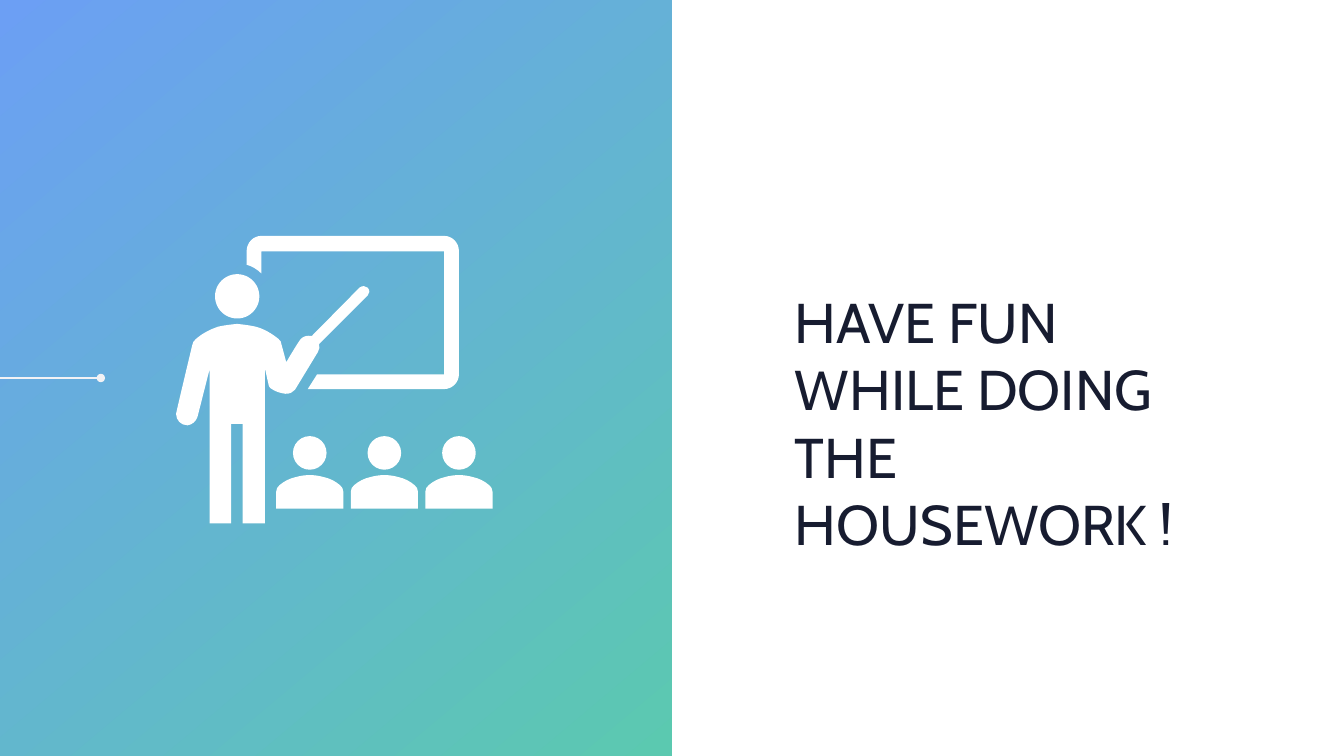
from lxml import etree
from pptx import Presentation
from pptx.dml.color import RGBColor
from pptx.enum.shapes import MSO_CONNECTOR, MSO_SHAPE
from pptx.enum.text import MSO_ANCHOR, MSO_AUTO_SIZE, PP_ALIGN
from pptx.oxml.ns import qn
from pptx.util import Inches, Pt

RECTANGLE = MSO_SHAPE.RECTANGLE
OVAL = MSO_SHAPE.OVAL
STRAIGHT = MSO_CONNECTOR.STRAIGHT
TOP = MSO_ANCHOR.TOP
LEFT = PP_ALIGN.LEFT
GROW = MSO_AUTO_SIZE.SHAPE_TO_FIT_TEXT

COLUMNS, ROWS = 20, 11.25
TITLE_ONLY = 5

LISTENER_BODY = [
    (0.5, 0.5), (0.5, 0.25), (0.5, 0.21, 0.48, 0.17, 0.45, 0.15),
    (0.38, 0.09, 0.3, 0.05, 0.21, 0.03), (0.14, 0.01, 0.07, 0, 0, 0),
    (-0.07, 0, -0.14, 0.01, -0.21, 0.03), (-0.3, 0.05, -0.38, 0.09, -0.45, 0.15),
    (-0.48, 0.17, -0.5, 0.21, -0.5, 0.25), (-0.5, 0.5),
]
TEACHER_BODY = [
    (5.47, 4.28), (5.44, 4.25, 5.39, 4.25, 5.35, 4.28), (4.64, 5),
    (4.58, 4.99, 4.52, 5, 4.48, 5.04), (4.46, 5.05, 4.26, 5.39, 4.26, 5.39),
    (4.19, 5.13), (4.19, 5.09, 4.17, 5.06, 4.14, 5.04),
    (4.04, 4.96, 3.92, 4.89, 3.8, 4.86), (3.71, 4.84, 3.62, 4.83, 3.53, 4.82),
    (3.43, 4.83, 3.34, 4.84, 3.25, 4.86), (3.13, 4.9, 3.01, 4.96, 2.91, 5.05),
    (2.88, 5.07, 2.87, 5.1, 2.86, 5.14), (2.86, 5.14, 2.62, 6.14, 2.62, 6.16),
    (2.62, 6.25, 2.69, 6.33, 2.79, 6.33), (2.86, 6.32, 2.92, 6.27, 2.94, 6.2),
    (3.12, 5.49), (3.12, 7.79), (3.44, 7.79), (3.44, 6.31), (3.61, 6.31),
    (3.61, 7.79), (3.94, 7.79), (3.94, 5.47), (4, 5.74),
    (4, 5.75, 4.02, 5.77, 4.03, 5.78), (4.1, 5.83, 4.17, 5.85, 4.25, 5.86),
    (4.31, 5.86, 4.36, 5.84, 4.39, 5.8), (4.73, 5.24),
    (4.75, 5.21, 4.76, 5.16, 4.75, 5.12), (5.47, 4.4),
    (5.5, 4.37, 5.51, 4.32, 5.47, 4.28),
]
BOARD_FRAME = [
    (6.61, 3.51), (3.89, 3.51), (3.77, 3.51, 3.67, 3.61, 3.67, 3.74),
    (3.67, 3.94), (3.75, 3.96, 3.83, 4.01, 3.89, 4.07), (3.89, 3.74),
    (6.61, 3.74), (6.61, 5.57), (4.72, 5.57), (4.58, 5.79), (6.61, 5.79),
    (6.73, 5.79, 6.83, 5.69, 6.83, 5.57), (6.83, 3.74),
    (6.83, 3.61, 6.73, 3.51, 6.61, 3.51),
]


def color(value):
    return RGBColor.from_string(value)


def grid(*cells):
    return [Inches(cell) for cell in cells]


class SlideBuilder:
    font_name = "Cabin"
    text_color = "171C30"
    icon_color = "FFFFFF"
    line_color = "F2F2F5"
    gradient = ("6C9FF4", "5BC9B0")

    def __init__(self, slide):
        self.slide = slide
        self.icon = None

    def title(self, text, left, top, width, height, size):
        shape = self.slide.shapes.title
        shape.left, shape.top, shape.width, shape.height = grid(left, top, width, height)
        frame = shape.text_frame
        frame.text = text
        frame.word_wrap = True
        frame.auto_size = GROW
        frame.vertical_anchor = TOP
        paragraph = frame.paragraphs[0]
        paragraph.alignment = LEFT
        font = paragraph.runs[0].font
        font.name, font.size = self.font_name, Pt(size)
        font.color.rgb = color(self.text_color)

    def gradient_panel(self, left, top, width, height, angle):
        shape = self.slide.shapes.add_shape(RECTANGLE, *grid(left, top, width, height))
        shape.shadow.inherit = False
        shape.line.fill.background()
        shape.fill.gradient()
        shape.fill.gradient_angle = 360 - angle
        for stop, value, position in zip(shape.fill.gradient_stops, self.gradient, (0, 1)):
            stop.color.rgb = color(value)
            stop.position = position

    def dotted_line(self, x1, y1, x2, y2, width):
        connector = self.slide.shapes.add_connector(STRAIGHT, *grid(x1, y1, x2, y2))
        connector.line.color.rgb = color(self.line_color)
        connector.line.width = Pt(width)
        etree.SubElement(connector.line._get_or_add_ln(), qn("a:tailEnd"), type="oval")
        etree.SubElement(connector._element.spPr, qn("a:effectLst"))

    def start_icon(self):
        self.icon = self.slide.shapes.add_group_shape()

    def paint_icon_part(self, shape):
        shape.shadow.inherit = False
        shape.fill.solid()
        shape.fill.fore_color.rgb = color(self.icon_color)
        shape.line.fill.background()

    def head(self, center_x, center_y, diameter):
        radius = diameter / 2
        self.paint_icon_part(self.icon.shapes.add_shape(
            OVAL, *grid(center_x - radius, center_y - radius, diameter, diameter)))

    def outline(self, segments, left=0, top=0):
        points = [grid(left + segment[-2], top + segment[-1]) for segment in segments]
        builder = self.icon.shapes.build_freeform(*points[0])
        builder.add_line_segments(points[1:], close=True)
        shape = builder.convert_to_shape()
        self.paint_icon_part(shape)
        drawn = list(shape._element.iter(qn("a:lnTo")))
        for element, segment in zip(drawn, segments[1:]):
            if len(segment) == 6:
                element.tag = qn("a:cubicBezTo")
                controls = (segment[:2], segment[2:4])
                for index, (x, y) in enumerate(controls):
                    point = etree.Element(qn("a:pt"), x=str(Inches(left + x) - shape.left),
                                          y=str(Inches(top + y) - shape.top))
                    element.insert(index, point)


def main():
    presentation = Presentation()
    presentation.slide_width, presentation.slide_height = grid(COLUMNS, ROWS)
    slide = presentation.slides.add_slide(presentation.slide_layouts[TITLE_ONLY])
    builder = SlideBuilder(slide)

    builder.gradient_panel(0, 0, COLUMNS / 2, ROWS, angle=50)
    builder.title("HAVE FUN WHILE DOING THE HOUSEWORK !", 11.73, 4.23, 6.65, 3.13, size=60)
    builder.dotted_line(0, ROWS / 2, 1.5, ROWS / 2, width=3)

    builder.start_icon()
    for listener in range(3):
        center = 4.61 + 1.11 * listener
        builder.head(center, 6.74, 0.5)
        builder.outline(LISTENER_BODY, center, 7.07)
    builder.head(3.53, 4.41, 0.66)
    builder.outline(TEACHER_BODY)
    builder.outline(BOARD_FRAME)

    presentation.save("out.pptx")


if __name__ == "__main__":
    main()
